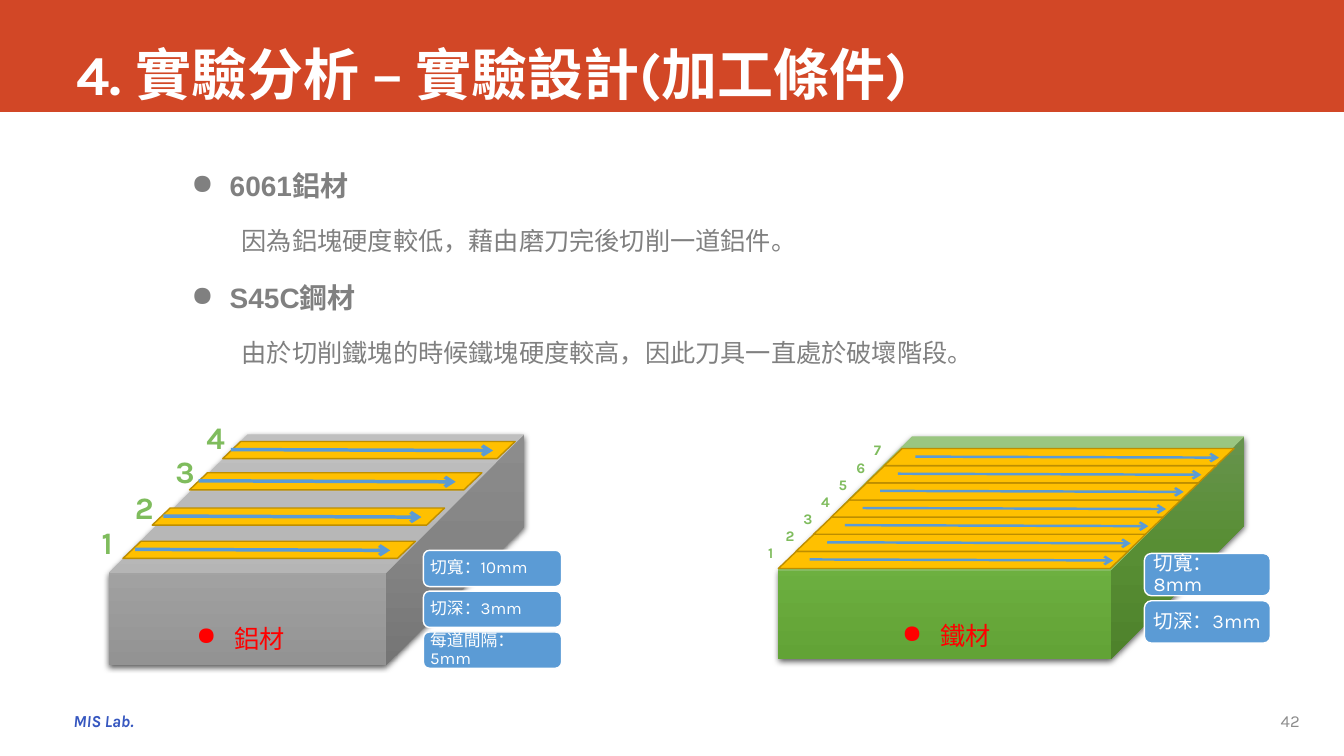
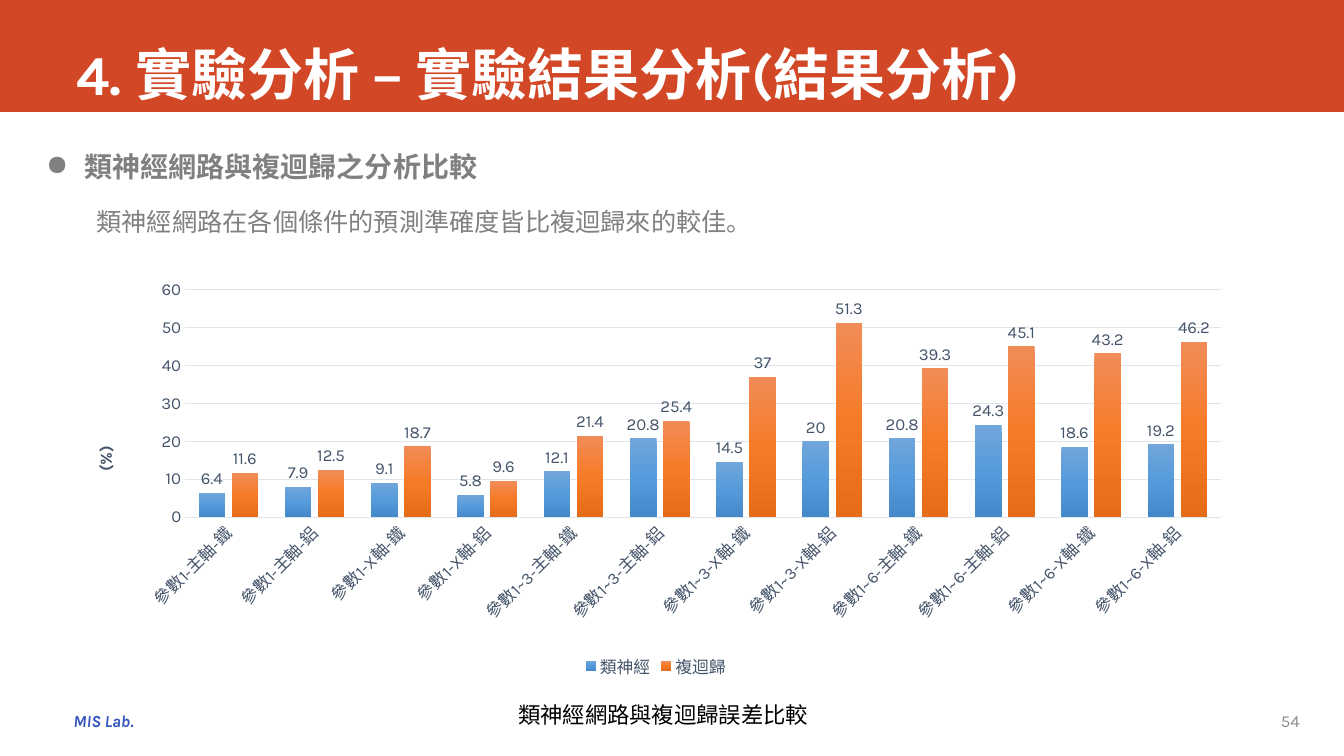
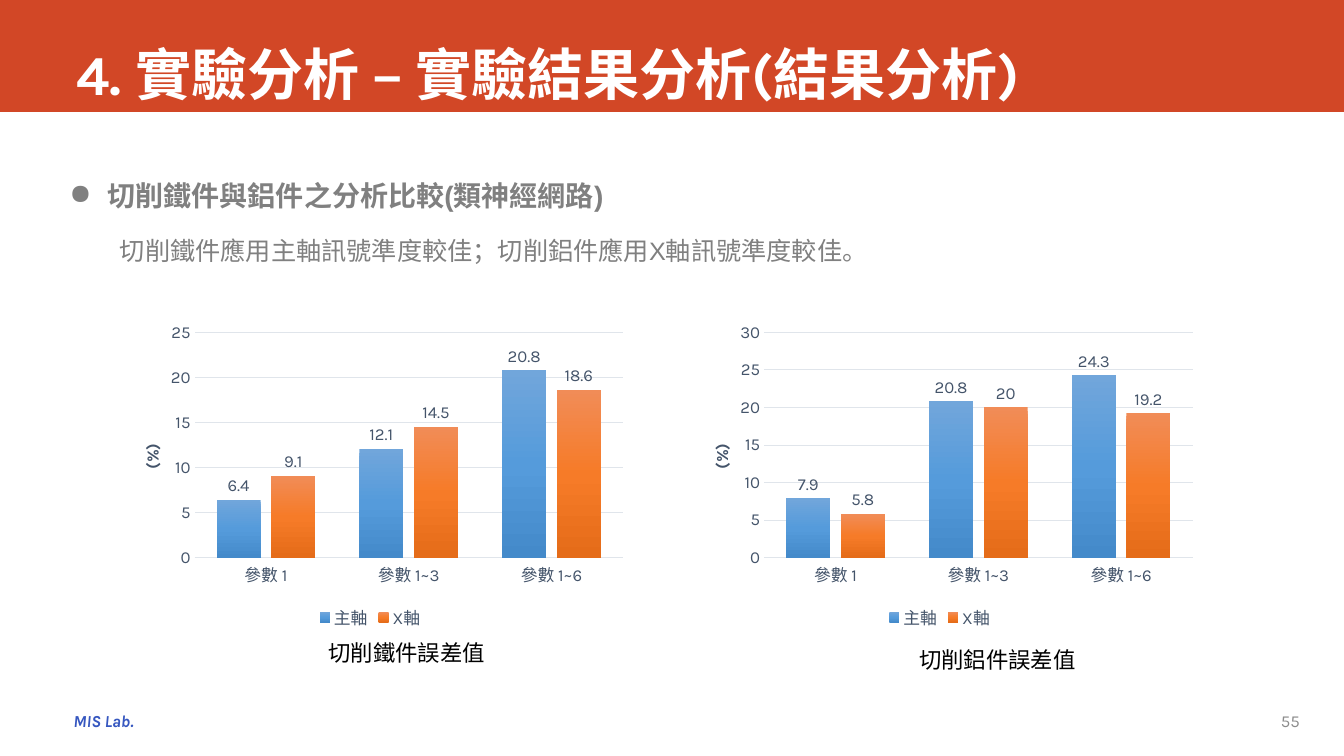
from copy import deepcopy
from pptx import Presentation
from pptx.chart.data import CategoryChartData as Data
from pptx.dml.color import RGBColor as RGB
from pptx.enum.chart import XL_CHART_TYPE as Kind, XL_LABEL_POSITION as Spot
from pptx.enum.chart import XL_LEGEND_POSITION as Side, XL_TICK_MARK as Tick
from pptx.enum.shapes import MSO_CONNECTOR as Conn, MSO_SHAPE as Form
from pptx.enum.text import MSO_ANCHOR as Anchor, PP_ALIGN as Align
from pptx.oxml import parse_xml
from pptx.oxml.ns import nsdecls, qn
from pptx.util import Inches as In, Pt

THEME = {
    "band": "D24726", "white": "FFFFFF", "brand": "3657C0", "page": "8C8C8C",
    "body": "808080", "ink": "000000", "axis": "44546A", "grid": "E0E5EB",
    "strip": "FFC000", "edge": "BD8E00", "blue": "5B9BD5", "digit": "7FBC5D",
    "red": "FF0000",
    "alu": ("AFAFAF", "A5A5A5", "939393"), "iron": ("81B861", "6FB242", "62A336"),
    "bars": (("71A6DB", "559BDB", "448ACA"), ("F18C57", "F67B28", "E56C19")),
    "font": "Karla", "plain": "Arial", "cjk": "Noto Sans CJK SC",
    "title": 40, "head": 20, "text": 18, "note": 16, "small": 12,
}
WIDE, HIGH, BAND = 13.33, 7.5, 1.11

RESULT = "4. 實驗分析 – 實驗結果分析(結果分析)"
PAGES = [
    {"title": "4. 實驗分析 – 實驗設計(加工條件)", "no": "42", "at": (1.8, 1.46, 11.24, 2.71),
     "body": [("6061鋁材", "因為鋁塊硬度較低，藉由磨刀完後切削一道鋁件。"),
              ("S45C鋼材", "由於切削鐵塊的時候鐵塊硬度較高，因此刀具一直處於破壞階段。")]},
    {"title": RESULT, "no": "54", "at": (0.36, 1.27, 11.53, 1.28),
     "body": [("類神經網路與複迴歸之分析比較",
               "類神經網路在各個條件的預測準確度皆比複迴歸來的較佳。")]},
    {"title": RESULT, "no": "55", "at": (0.59, 1.56, 11.53, 1.28),
     "body": [("切削鐵件與鋁件之分析比較(類神經網路)",
               "切削鐵件應用主軸訊號準度較佳；切削鋁件應用X軸訊號準度較佳。")]},
]

# strip left, strip top, digit left, digit top, arrow start, arrow end
ALU = [(1.22, 5.37, 0.91, 5.11, 1.34, 3.87), (1.51, 5.04, 1.24, 4.76, 1.62, 4.18),
       (1.88, 4.69, 1.64, 4.4, 1.97, 4.52), (2.21, 4.38, 1.95, 4.07, 2.29, 4.89)]
IRON = [(x, y, x - 0.2, y - 0.12, x + 0.31, x + 3.32)
        for x, y in ((7.72 + 0.175 * i, 5.47 - 0.17 * i) for i in range(7))]
BLOCKS = [
    {"cube": (1.08, 4.31, 4.12, 2.29), "fill": "alu", "strips": ALU, "long": 2.9,
     "pen": 2.5, "digit": (0.33, 0.53, 22.2, 1.1), "name": "鋁材", "at": (1.85, 5.98),
     "cards": ["切寬：10mm", "切深：3mm", "每道間隔：5mm"],
     "card": (4.2, 5.46, 1.37, 0.36), "step": 0.405, "size": 12, "pad": 0.05},
    {"cube": (7.72, 4.33, 4.62, 2.21), "fill": "iron", "strips": IRON, "long": 3.47,
     "pen": 1.75, "digit": (0.27, 0.28, 10.4, 1), "name": "鐵材", "at": (8.85, 5.96),
     "cards": ["切寬：8mm", "切深：3mm"],
     "card": (11.35, 5.49, 1.25, 0.42), "step": 0.47, "size": 14, "pad": 0.07},
]

CASES = [f"參數{span}-{axis}-{metal}" for span in ("1", "1~3", "1~6")
         for axis in ("主軸", "X軸") for metal in "鐵鋁"]
SPANS = ["參數 1", "參數 1~3", "參數 1~6"]
PAIR = {"at": (3.14, 5.12, 3.15), "plot": (0.16, 0.05, 0.83, 0.71),
        "name": (0.05, 0.39), "cats": SPANS, "unit": 5}
CHARTS = [
    (1, {"left": 0.67, "at": (2.67, 11.67, 4.1), "plot": (0.1, 0.05, 0.88, 0.55),
         "name": (0.02, 0.42), "cats": CASES, "unit": 10, "top": 60, "turn": True,
         "rows": {"類神經": [6.4, 7.9, 9.1, 5.8, 12.1, 20.8, 14.5, 20, 20.8, 24.3, 18.6, 19.2],
                  "複迴歸": [11.6, 12.5, 18.7, 9.6, 21.4, 25.4, 37, 51.3, 39.3, 45.1, 43.2, 46.2]},
         "note": ("類神經網路與複迴歸誤差比較", (5.04, 6.77, 3.23, 0.64))}),
    (2, {**PAIR, "left": 1.11, "top": 25,
         "rows": {"主軸": [6.4, 12.1, 20.8], "X軸": [9.1, 14.5, 18.6]},
         "note": ("切削鐵件誤差值", (3.16, 6.16, 2.14, 0.64))}),
    (2, {**PAIR, "left": 6.76, "top": 30,
         "rows": {"主軸": [7.9, 20.8, 24.3], "X軸": [5.8, 20, 19.2]},
         "note": ("切削鋁件誤差值", (9.02, 6.23, 1.93, 0.64))}),
]


def tint(name):
    return RGB.from_string(THEME.get(name, name))


def style(font, size, color, name="font", **extra):
    fmt = {"size": Pt(size), "name": THEME[name], **extra}
    for key, val in fmt.items():
        setattr(font, key, val)
    font.color.rgb = tint(color)


def write(frame, lines, anchor=Anchor.TOP, pad=None):
    """Fill a text frame with (text, font values, paragraph values) lines."""
    frame.word_wrap = True
    frame.vertical_anchor = anchor
    if pad is not None:
        for side in ("left", "right", "top", "bottom"):
            setattr(frame, "margin_" + side, In(pad))
    for i, (text, font, fmt) in enumerate(lines):
        para = frame.add_paragraph() if i else frame.paragraphs[0]
        fmt = dict(fmt)
        dot, dent = fmt.pop("dot", False), fmt.pop("dent", 0)
        props = para._p.get_or_add_pPr()
        if dot:
            props.set("marL", str(In(0.38)))
            props.set("indent", str(-In(0.38)))
            props.append(parse_xml(f'<a:buChar {nsdecls("a")} char="●"/>'))
        elif dent:
            props.set("marL", str(In(dent)))
            props.set("indent", "0")
        for key, val in fmt.items():
            setattr(para, key, val)
        run = para.add_run()
        run.text = text
        style(run.font, **font)


def label(slide, box, lines, **more):
    area = slide.shapes.add_textbox(*map(In, box))
    write(area.text_frame, lines, **more)


def shape(slide, form, box, fill=None, line=None, adj=None):
    item = slide.shapes.add_shape(form, *map(In, box))
    item.shadow.inherit = False
    if fill:
        item.fill.solid()
        item.fill.fore_color.rgb = tint(fill)
    if line:
        item.line.color.rgb = tint(line)
        item.line.width = Pt(1)
    else:
        item.line.fill.background()
    if adj:
        item.adjustments[0] = adj
    return item


def shade(fill, node, colors):
    """Apply a three-stop gradient that runs downwards."""
    fill.gradient()
    fill.gradient_angle = 270
    stops = node.find(".//" + qn("a:gsLst"))
    stops.append(deepcopy(stops[0]))
    for i, (stop, color) in enumerate(zip(fill.gradient_stops, colors)):
        stop.color.rgb = RGB.from_string(color)
        stop.position = i / 2


def arrow(slide, start, end, pen):
    line = slide.shapes.add_connector(Conn.STRAIGHT, *map(In, (*start, *end)))
    line.line.color.rgb = tint("blue")
    line.line.width = Pt(pen)
    props = line._element.spPr
    props.find(qn("a:ln")).append(parse_xml(f'<a:tailEnd {nsdecls("a")} type="arrow"/>'))
    props.append(parse_xml(f'<a:effectLst {nsdecls("a")}/>'))


def base(deck, page):
    slide = deck.slides.add_slide(deck.slide_layouts[6])
    shape(slide, Form.RECTANGLE, (0, 0, WIDE, BAND), "band")
    lab = shape(slide, Form.RECTANGLE, (0.63, 7, 0.89, 0.3), "white")
    brand = {"size": THEME["small"], "color": "brand", "bold": True, "italic": True}
    write(lab.text_frame, [("MIS Lab.", brand, {"alignment": Align.LEFT})])
    big = {"size": THEME["title"], "color": "white", "bold": True}
    label(slide, (0.66, 0, 11.76, BAND), [(page["title"], big, {})], anchor=Anchor.BOTTOM)
    small = {"size": THEME["small"], "color": "page"}
    label(slide, (9.41, 6.95, 3.58, 0.4), [(page["no"], small, {"alignment": Align.RIGHT})],
          anchor=Anchor.MIDDLE)
    lines = []
    for head, text in page["body"]:
        gap = {"space_before": Pt(6)} if lines else {}
        lines.append((head, {"size": THEME["head"], "color": "body", "name": "plain", "bold": True},
                      {"dot": True, "line_spacing": 1.5, **gap}))
        lines.append((text, {"size": THEME["text"], "color": "body", "name": "plain"},
                      {"dent": 0.5, "line_spacing": 1.5, "space_before": Pt(5.4)}))
    label(slide, page["at"], lines)
    return slide


def block(slide, part):
    cube = shape(slide, Form.CUBE, part["cube"], adj=0.6)
    shade(cube.fill, cube._element.spPr, THEME[part["fill"]])
    cube._element.spPr.find(qn("a:effectLst")).append(parse_xml(
        f'<a:outerShdw {nsdecls("a")} blurRad="57150" dist="19050" dir="5400000" algn="ctr" '
        'rotWithShape="0"><a:srgbClr val="000000"><a:alpha val="63000"/></a:srgbClr>'
        '</a:outerShdw>'))
    for x, y, *_ in part["strips"]:
        shape(slide, Form.PARALLELOGRAM, (x, y, part["long"], 0.17), "strip", "edge", 1.05)
    wide, high, size, space = part["digit"]
    for i, (_, y, left, top, start, end) in enumerate(part["strips"], 1):
        arrow(slide, (start, y + 0.08), (end, y + 0.09), part["pen"])
        label(slide, (left, top, wide, high),
              [(str(i), {"size": size, "color": "digit", "bold": True}, {"line_spacing": space})])
    label(slide, (*part["at"], 1.25, 0.63),
          [(part["name"], {"size": THEME["text"], "color": "red", "name": "cjk"},
            {"dot": True, "line_spacing": 1.5})])
    x, y, wide, high = part["card"]
    for i, text in enumerate(part["cards"]):
        card = shape(slide, Form.ROUNDED_RECTANGLE, (x, y + i * part["step"], wide, high),
                     "blue", "white")
        write(card.text_frame, [(text, {"size": part["size"], "color": "white"},
                                 {"line_spacing": 0.9, "alignment": Align.LEFT})],
              anchor=Anchor.MIDDLE, pad=part["pad"])


def place(node, slot, share, inner=False):
    """Fix a chart part at shares of the chart's size."""
    old = node.find(qn("c:layout"))
    if old is not None:
        node.remove(old)
    marks = '<c:layoutTarget val="inner"/>' if inner else ""
    marks += '<c:xMode val="edge"/><c:yMode val="edge"/>'
    marks += "".join(f'<c:{key} val="{val}"/>' for key, val in zip("xywh", share))
    node.insert(slot, parse_xml(
        f'<c:layout {nsdecls("c")}><c:manualLayout>{marks}</c:manualLayout></c:layout>'))


def graph(slide, part):
    data = Data()
    data.categories = part["cats"]
    for name, vals in part["rows"].items():
        data.add_series(name, vals)
    box = map(In, (part["left"], *part["at"]))
    chart = slide.shapes.add_chart(Kind.COLUMN_CLUSTERED, *box, data).chart
    style(chart.font, THEME["small"], "axis")
    chart.has_title = False
    chart.has_legend = True
    chart.legend.position = Side.BOTTOM
    chart.legend.include_in_layout = False
    style(chart.legend.font, THEME["small"], "axis")

    cat, val = chart.category_axis, chart.value_axis
    for axis in (cat, val):
        axis.major_tick_mark = axis.minor_tick_mark = Tick.NONE
        style(axis.tick_labels.font, THEME["small"], "axis")
    for line in (cat.format.line, val.major_gridlines.format.line):
        line.color.rgb = tint("grid")
        line.width = Pt(0.75)
    if part.get("turn"):
        cat._element.find(qn("c:txPr")).find(qn("a:bodyPr")).set("rot", "-2700000")
    val.format.line.fill.background()
    for key, num in {"minimum_scale": 0, "maximum_scale": part["top"],
                     "major_unit": part["unit"]}.items():
        setattr(val, key, num)

    name = val.axis_title
    name.text_frame.text = "(%)"
    style(name.text_frame.paragraphs[0].runs[0].font, THEME["small"], "axis", bold=True)
    turn = name._element.find(".//" + qn("a:bodyPr"))
    turn.set("rot", "-5400000")
    turn.set("vert", "horz")
    place(name._element, 1, part["name"])

    plot = chart.plots[0]
    for key, num in {"gap_width": 100, "overlap": -24, "vary_by_categories": False}.items():
        setattr(plot, key, num)
    for row, colors in zip(plot.series, THEME["bars"]):
        shade(row.format.fill, row._element, colors)
        tags = row.data_labels
        tags.show_value = True
        tags.position = Spot.OUTSIDE_END
        style(tags.font, THEME["small"], "axis")
    place(chart._chartSpace.find(".//" + qn("c:plotArea")), 0, part["plot"], True)

    text, box = part["note"]
    label(slide, box, [(text, {"size": THEME["note"], "color": "ink"}, {"line_spacing": 1.5})])


def main():
    deck = Presentation()
    deck.slide_width, deck.slide_height = In(WIDE), In(HIGH)
    slides = [base(deck, page) for page in PAGES]
    for part in BLOCKS:
        block(slides[0], part)
    for i, part in CHARTS:
        graph(slides[i], part)
    deck.save("out.pptx")


if __name__ == "__main__":
    main()
